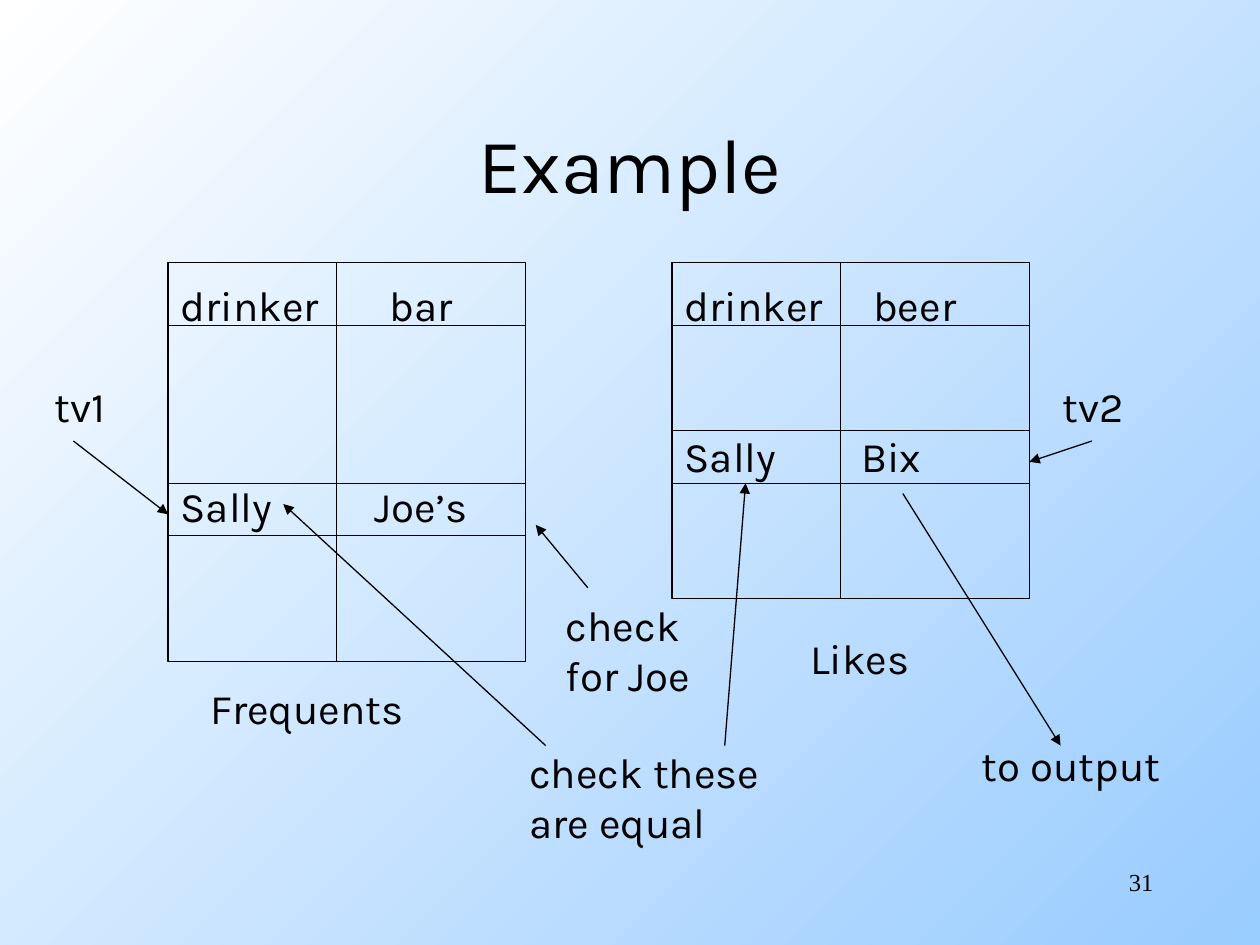
"""Build the slide that joins the Frequents and Likes relations with tuple variables."""
import dataclasses
import itertools

import pptx
import pptx.dml.color
import pptx.enum.shapes
import pptx.enum.text
import pptx.oxml
import pptx.oxml.ns
import pptx.util

Cm = pptx.util.Cm
Align = pptx.enum.text.PP_ALIGN
Anchor = pptx.enum.text.MSO_ANCHOR


@dataclasses.dataclass(frozen=True)
class Theme:
    """Colours, fonts and sizes of the slide."""
    ink: str = "000000"
    sky: tuple = ("FFFFFF", "99CCFF")
    face: str = "Karla"
    number_face: str = "Times New Roman"
    title: int = 44
    body: int = 24
    number: int = 14
    rule: float = 0.75


THEME = Theme()
COLUMNS = (3.39, 3.81)
GRID_TOP = 5.29
GRIDS = (
    (3.39, (1.27, 3.18, 1.06, 2.54)),
    (13.55, (1.27, 2.12, 1.06, 2.33)),
)
HEADER, LIKES_ROW, FREQUENTS_ROW = 5.5, 8.55, 9.57
LABELS = (
    (("drinker",), 3.39, HEADER, 3.6),
    (("bar",), 7.6, HEADER, 3),
    (("drinker",), 13.55, HEADER, 3.6),
    (("beer",), 17.35, HEADER, 3),
    (("Sally",), 3.39, FREQUENTS_ROW, 3),
    (("Joe’s",), 7.31, FREQUENTS_ROW, 3),
    (("Sally",), 13.55, LIKES_ROW, 3),
    (("Bix",), 17.11, LIKES_ROW, 3),
    (("tv1",), 0.85, 7.54, 2),
    (("tv2",), 21.17, 7.54, 2),
    (("Likes",), 16.08, 12.62, 3),
    (("Frequents",), 3.99, 13.64, 5),
    (("to output",), 19.54, 14.78, 5),
    (("check these", "are equal"), 10.42, 14.92, 5.18),
    (("check", "for Joe"), 11.16, 11.96, 3.1),
)
ARROWS = (
    (1.48, 8.89, 3.39, 10.37),
    (22.01, 8.89, 20.75, 9.31),
    (18.2, 9.95, 21.38, 15.03),
    (11, 15.03, 5.71, 10.16),
    (14.61, 15.03, 15.03, 9.74),
    (11.85, 11.85, 10.8, 10.58),
)


def apply(target, values):
    """Set each attribute named in values on target."""
    for name, value in values.items():
        setattr(target, name, value)


def colour(code):
    """Turn a hex code into a colour."""
    return pptx.dml.color.RGBColor.from_string(code)


def style_line(line):
    """Give an outline or connector the thin rule."""
    line.width = pptx.util.Pt(THEME.rule)
    line.color.rgb = colour(THEME.ink)


def paint_background(page):
    """Fill the page with the diagonal gradient."""
    fill = page.background.fill
    fill.gradient()
    fill.gradient_angle = 315
    for stop, code in zip(fill.gradient_stops, THEME.sky):
        stop.color.rgb = colour(code)


def add_text(page, lines, left, top, width, height, size=THEME.body,
             face=THEME.face, align=Align.LEFT, anchor=Anchor.TOP):
    """Add a text box with one paragraph for each line."""
    box = page.shapes.add_textbox(Cm(left), Cm(top), Cm(width), Cm(height))
    frame = box.text_frame
    apply(frame, {"word_wrap": True, "vertical_anchor": anchor, "text": "\n".join(lines)})
    for para in frame.paragraphs:
        para.alignment = align
        for span in para.runs:
            apply(span.font, {"name": face, "size": pptx.util.Pt(size)})
            span.font.color.rgb = colour(THEME.ink)


def add_line(page, *ends, arrow=False):
    """Add a thin straight line, with a head at its end if it is an arrow."""
    line = page.shapes.add_connector(pptx.enum.shapes.MSO_CONNECTOR.STRAIGHT, *map(Cm, ends))
    style_line(line.line)
    namespace = pptx.oxml.ns.nsdecls("a")
    if arrow:
        line.line._get_or_add_ln().append(
            pptx.oxml.parse_xml(f'<a:tailEnd {namespace} type="triangle"/>'))
    line._element.spPr.append(pptx.oxml.parse_xml(f"<a:effectLst {namespace}/>"))


def add_grid(page, left, rows):
    """Add a frame divided by lines between its rows and columns."""
    width, height = sum(COLUMNS), sum(rows)
    frame = page.shapes.add_shape(pptx.enum.shapes.MSO_SHAPE.RECTANGLE, Cm(left),
                                  Cm(GRID_TOP), Cm(width), Cm(height))
    frame.shadow.inherit = False
    frame.fill.background()
    style_line(frame.line)
    for offset in itertools.accumulate(rows[:-1]):
        add_line(page, left, GRID_TOP + offset, left + width, GRID_TOP + offset)
    for offset in itertools.accumulate(COLUMNS[:-1]):
        add_line(page, left + offset, GRID_TOP, left + offset, GRID_TOP + height)


def main():
    """Build and save the deck."""
    deck = pptx.Presentation()
    apply(deck, {"slide_width": Cm(25.4), "slide_height": Cm(19.05)})
    page = deck.slides.add_slide(deck.slide_layouts[6])
    paint_background(page)
    add_text(page, ("31",), 18.21, 17.36, 5.29, 1.27, THEME.number,
             THEME.number_face, Align.RIGHT)
    add_text(page, ("Example",), 1.91, 1.69, 21.59, 3.18, THEME.title,
             align=Align.CENTER, anchor=Anchor.MIDDLE)
    for left, rows in GRIDS:
        add_grid(page, left, rows)
    for lines, left, top, width in LABELS:
        add_text(page, lines, left, top, width, 0.25 + 1.02 * len(lines))
    for ends in ARROWS:
        add_line(page, *ends, arrow=True)
    deck.save("out.pptx")


if __name__ == "__main__":
    main()
